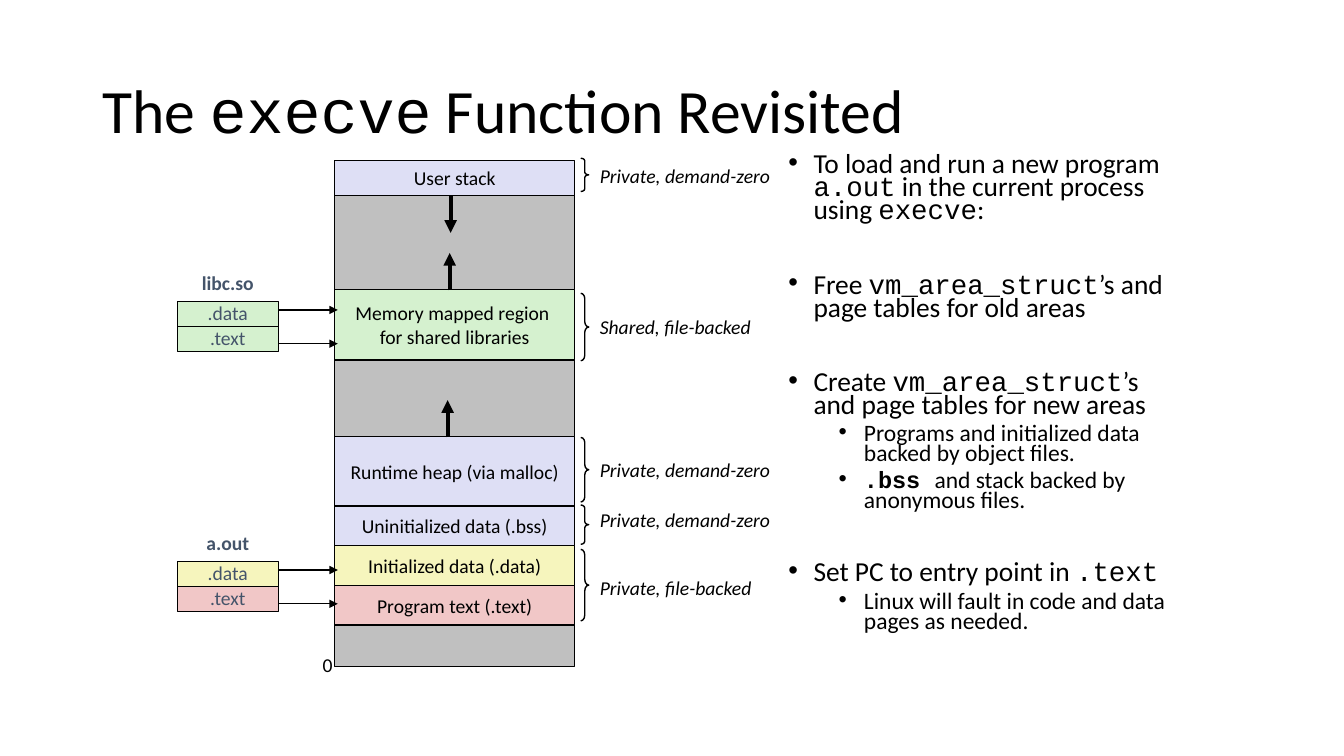
from pptx import Presentation
from pptx import util as u
from pptx.dml.color import RGBColor
from pptx.enum import shapes, text
from pptx.oxml import ns
from lxml import etree

BLACK = RGBColor(0x00, 0x00, 0x00)
SLATE = RGBColor(0x44, 0x54, 0x6A)
GRAY = RGBColor(0xC0, 0xC0, 0xC0)
LILAC = RGBColor(0xDE, 0xDF, 0xF5)
GREEN = RGBColor(0xD5, 0xF1, 0xCF)
YELLOW = RGBColor(0xF6, 0xF5, 0xBD)
PINK = RGBColor(0xF1, 0xC7, 0xC7)
PROSE, CODE = "Calibri", "Courier New"

TITLE = "The `execve` Function Revisited"
STEPS = [
    (0, "To load and run a new program `a.out` in the current process using `execve`:"),
    (0, "Free `vm_area_struct`’s and page tables for old areas"),
    (0, "Create `vm_area_struct`’s and page tables for new areas"),
    (1, "Programs and initialized data backed by object files."),
    (1, "`.bss `and stack backed by anonymous files."),
    (0, "Set PC to entry point in `.text`"),
    (1, "Linux will fault in code and data pages as needed."),
]
STEP_STYLE = {0: (19.6, 0.25, 36.7), 1: (16.8, 0.75, 5)}

MEMORY_LEFT, MEMORY_WIDTH = 3.32, 2.38
REGIONS = [
    (1.59, "User stack", LILAC),
    (1.94, "", GRAY),
    (2.87, "Memory mapped region \nfor shared libraries", GREEN),
    (3.57, "", GRAY),
    (4.33, "Runtime heap (via malloc)", LILAC),
    (5.02, "Uninitialized data (.bss)", LILAC),
    (5.41, "Initialized data (.data)", YELLOW),
    (5.81, "Program text (.text)", PINK),
    (6.2, "", GRAY),
]
MEMORY_BOTTOM = 6.61
GROWTH = [(4.47, 1.94, 0.37), (4.46, 2.88, -0.37), (4.44, 4.34, -0.37)]
BACKINGS = [
    (1.57, 0.33, 1.74, "Private, demand-zero"),
    (2.91, 0.67, 3.24, "Shared, file-backed"),
    (4.34, 0.64, 4.66, "Private, demand-zero"),
    (5.01, 0.39, 5.16, "Private, demand-zero"),
    (5.45, 0.71, 5.83, "Private, file-backed"),
]
FILE_LEFT, FILE_WIDTH, SECTION_HEIGHT = 1.76, 1, 0.25
FILES = [
    ("libc.so", 2.99, [(".data", GREEN), (".text", GREEN)]),
    ("a.out", 5.57, [(".data", YELLOW), (".text", PINK)]),
]

deck = Presentation()
deck.slide_width, deck.slide_height = u.Inches(13.33), u.Inches(7.5)
slide = deck.slides.add_slide(deck.slide_layouts[6])


def inches(*lengths):
    return [u.Inches(length) for length in lengths]


def style(font, size, color=BLACK, bold=False, italic=False, name=PROSE):
    font.name, font.size, font.bold, font.italic = name, u.Pt(size), bold, italic
    font.color.rgb = color


def add_mixed_runs(paragraph, words, size, bold_code=False):
    for index, part in enumerate(words.split("`")):
        if part:
            run = paragraph.add_run()
            run.text = part
            is_code = index % 2 == 1
            style(run.font, size, bold=is_code and bold_code,
                  name=CODE if is_code else PROSE)


def set_text(frame, words, align=text.PP_ALIGN.CENTER, spacing=None, **look):
    frame.word_wrap = False
    frame.vertical_anchor = text.MSO_ANCHOR.MIDDLE
    frame.text = words
    for paragraph in frame.paragraphs:
        paragraph.alignment = align
        paragraph.line_spacing = spacing
        for run in paragraph.runs:
            style(run.font, 14, **look)


def add_label(box, words, **look):
    label = slide.shapes.add_textbox(*inches(*box))
    set_text(label.text_frame, words, **look)


def add_outline(kind, box, weight, fill=None):
    shape = slide.shapes.add_shape(kind, *inches(*box))
    shape.shadow.inherit = False
    if fill is None:
        shape.fill.background()
    else:
        shape.fill.solid()
        shape.fill.fore_color.rgb = fill
    shape.line.color.rgb = BLACK
    shape.line.width = u.Pt(weight)
    return shape


def add_block(box, words, fill, weight, **look):
    block = add_outline(shapes.MSO_SHAPE.RECTANGLE, box, weight, fill)
    if words:
        set_text(block.text_frame, words, **look)


def add_arrow(x1, y1, x2, y2, weight):
    arrow = slide.shapes.add_connector(
        shapes.MSO_CONNECTOR.STRAIGHT, *inches(x1, y1, x2, y2))
    arrow.line.color.rgb = BLACK
    arrow.line.width = u.Pt(weight)
    etree.SubElement(arrow.line._get_or_add_ln(), ns.qn("a:tailEnd"), type="triangle")
    etree.SubElement(arrow._element.spPr, ns.qn("a:effectLst"))


title = slide.shapes.add_textbox(*inches(0.92, 0.4, 11.5, 1.45)).text_frame
title.word_wrap = True
title.vertical_anchor = text.MSO_ANCHOR.MIDDLE
title.paragraphs[0].line_spacing = 0.9
add_mixed_runs(title.paragraphs[0], TITLE, 44)

steps = slide.shapes.add_textbox(*inches(7.72, 1.49, 3.95, 6.01)).text_frame
steps.word_wrap = True
for index, (level, words) in enumerate(STEPS):
    size, indent, gap = STEP_STYLE[level]
    step = steps.add_paragraph() if index else steps.paragraphs[0]
    step.level = level
    step.line_spacing = 0.7
    step.space_before = u.Pt(gap if index else 0)
    properties = step._p.get_or_add_pPr()
    properties.set("marL", str(u.Inches(indent)))
    properties.set("indent", str(u.Inches(-0.25)))
    etree.SubElement(properties, ns.qn("a:buFont"), typeface="Arial")
    etree.SubElement(properties, ns.qn("a:buChar"), char="•")
    add_mixed_runs(step, words, size, bold_code=level == 1)

bottoms = [top for top, _, _ in REGIONS[1:]] + [MEMORY_BOTTOM]
for (top, words, fill), bottom in zip(REGIONS, bottoms):
    add_block((MEMORY_LEFT, top, MEMORY_WIDTH, bottom - top), words, fill, 1)
add_label((3.1, 6.42, 0.3, 0.34), "0")

for x, start, growth in GROWTH:
    add_arrow(x, start, x, start + growth, 3)

for top, height, middle, words in BACKINGS:
    brace = add_outline(shapes.MSO_SHAPE.RIGHT_BRACE, (5.76, top, 0.08, height), 1)
    brace.adjustments[0] = height
    add_label((5.85, middle - 0.17, 1.95, 0.34), words,
              align=text.PP_ALIGN.LEFT, italic=True)

for name, top, sections in FILES:
    add_label((FILE_LEFT, top - 0.33, FILE_WIDTH, 0.31), name,
              spacing=0.9, color=SLATE, bold=True)
    for row, (section, fill) in enumerate(sections):
        add_block((FILE_LEFT, top + row * SECTION_HEIGHT, FILE_WIDTH, SECTION_HEIGHT),
                  section, fill, 0.75, spacing=0.9, color=SLATE)
        arrow_y = top + 0.085 + row * 0.335
        add_arrow(FILE_LEFT + FILE_WIDTH, arrow_y, 3.35, arrow_y, 1)

deck.save("out.pptx")
